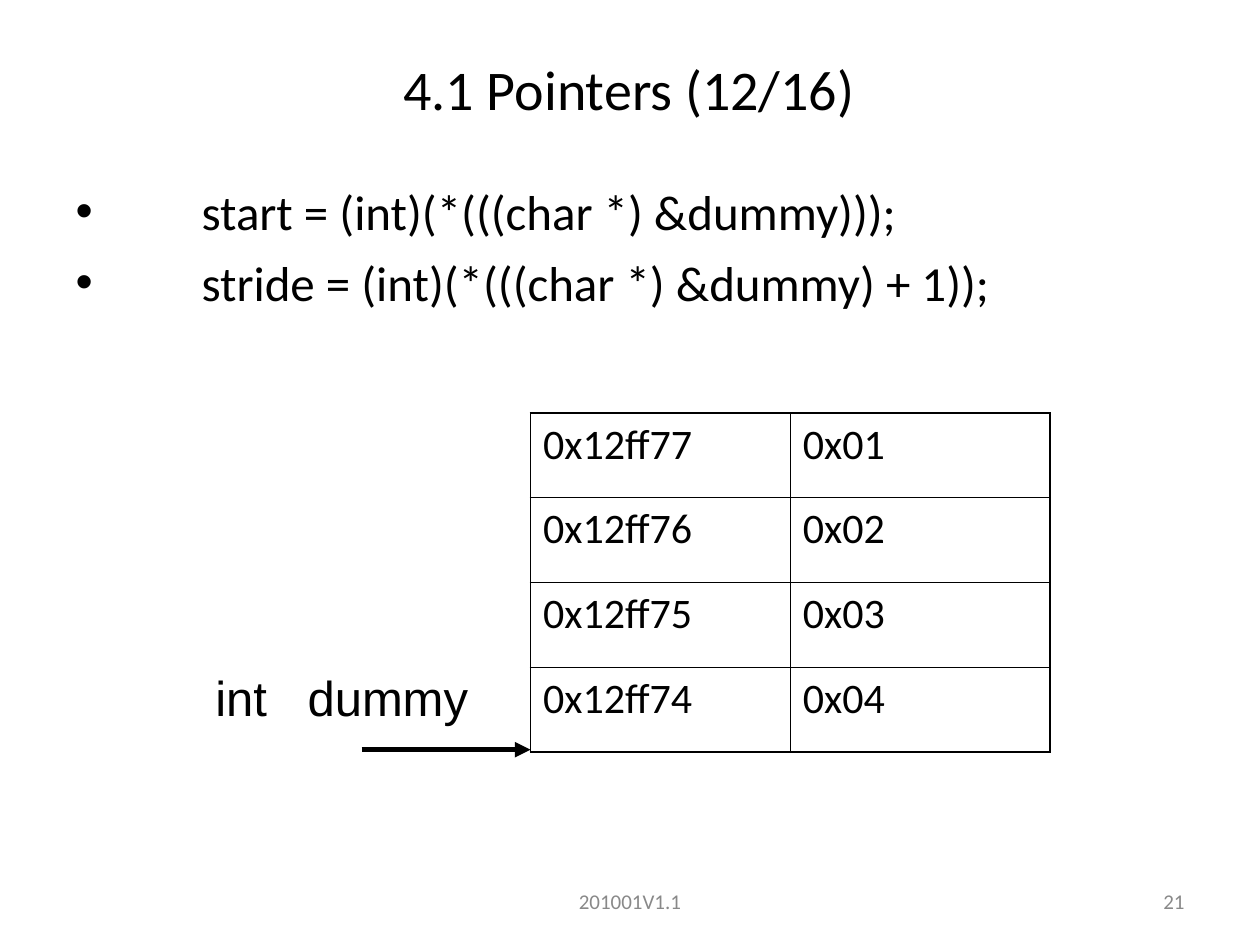
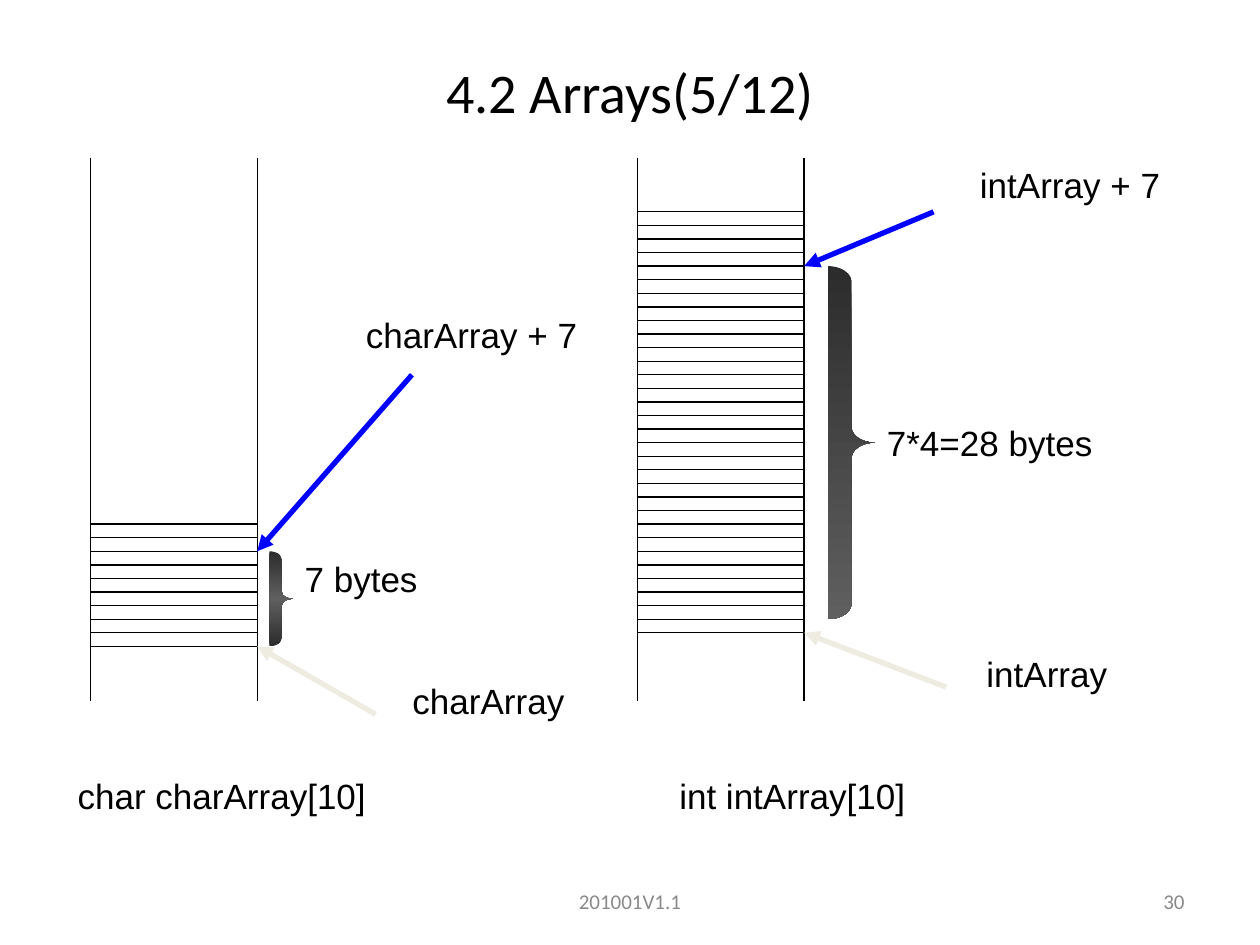
from lxml import etree
from pptx import Presentation
from pptx.dml.color import RGBColor
from pptx.enum import shapes, text
from pptx.oxml import ns, parse_xml
from pptx.util import Pt

BLACK, GREY, BLUE, SAND = "000000", "898989", "0000FF", "EEECE1"
LEFT, MID, RIGHT = text.PP_ALIGN.LEFT, text.PP_ALIGN.CENTER, text.PP_ALIGN.RIGHT
TITLE = {"name": "Calibri", "size": Pt(32)}
LIST = {"name": "Calibri", "size": Pt(28)}
CELL = {"name": "Calibri", "size": Pt(24)}
FOOT = {"name": "Calibri", "size": Pt(12)}
LABEL = {"name": "Arial", "size": Pt(20)}
BIG = {"name": "Arial", "size": Pt(28)}


def write(frame, lines, fmt, align=LEFT, color=BLACK, tab=0):
    """Fill a text frame, one paragraph a line, with an optional tab stop."""
    frame.word_wrap = True
    for i, line in enumerate(lines):
        par = frame.add_paragraph() if i else frame.paragraphs[0]
        par.alignment = align
        par.space_before = Pt(7 if i else 0)
        if tab:
            stops = etree.SubElement(par._p.get_or_add_pPr(), ns.qn("a:tabLst"))
            etree.SubElement(stops, ns.qn("a:tab"), pos=str(Pt(tab)), algn="l")
        run = par.add_run()
        run.text = line
        for key, value in fmt.items():
            setattr(run.font, key, value)
        run.font.color.rgb = RGBColor.from_string(color)


def draw(slide, x1, y1, x2, y2, color=BLACK, width=0.75, arrow=False):
    """Draw a straight line, with an arrowhead at its end if asked."""
    line = slide.shapes.add_connector(
        shapes.MSO_CONNECTOR.STRAIGHT, Pt(x1), Pt(y1), Pt(x2), Pt(y2))
    line.line.color.rgb = RGBColor.from_string(color)
    line.line.width = Pt(width)
    if arrow:
        etree.SubElement(line.line._get_or_add_ln(), ns.qn("a:tailEnd"), type="triangle")
    etree.SubElement(line._element.spPr, ns.qn("a:effectLst"))


deck = Presentation()
deck.slide_width, deck.slide_height = Pt(720), Pt(540)

# Titles and footers of both slides
pages = []
for layout, head, box, num in (
        (1, "4.1 Pointers (12/16)", (19.5, 20, 680, 61), "21"),
        (5, "4.2 Arrays(5/12)", (0, 21.5, 720, 61), "30")):
    page = deck.slides.add_slide(deck.slide_layouts[layout])
    title = page.shapes.title
    title.left, title.top, title.width, title.height = map(Pt, box)
    write(title.text_frame, [head], TITLE, MID)
    for left, width, words, align in ((246, 228, "201001V1.1", MID), (516, 168, num, RIGHT)):
        foot = page.shapes.add_textbox(Pt(left), Pt(500.5), Pt(width), Pt(28.8)).text_frame
        foot.vertical_anchor = text.MSO_ANCHOR.MIDDLE
        write(foot, [words], FOOT, align, GREY)
    pages.append(page)
point, array = pages

# Pointers: code list
body = point.placeholders[1]
body.left, body.top, body.width, body.height = map(Pt, (36, 100, 648, 382))
write(body.text_frame, ["\tstart = (int)(*(((char *) &dummy)));",
                        "\tstride = (int)(*(((char *) &dummy) + 1));"], LIST, tab=72)

# Pointers: memory table, with a heavier outer frame
cells = (("0x12ff77", "0x01"), ("0x12ff76", "0x02"),
         ("0x12ff75", "0x03"), ("0x12ff74", "0x04"))
table = point.shapes.add_table(4, 2, Pt(303.2), Pt(236), Pt(296.8), Pt(193.6)).table
table.first_row = table.horz_banding = False
for r, values in enumerate(cells):
    for c, value in enumerate(values):
        cell = table.cell(r, c)
        write(cell.text_frame, [value], CELL)
        props = cell._tc.get_or_add_tcPr()
        for side, outer in (("L", c == 0), ("R", c == 1), ("T", r == 0), ("B", r == 3)):
            edge = etree.SubElement(props, ns.qn("a:ln" + side),
                                    w=str(Pt(1.08 if outer else 0.45)))
            fill = etree.SubElement(edge, ns.qn("a:solidFill"))
            etree.SubElement(fill, ns.qn("a:srgbClr"), val=BLACK)
        cell.fill.background()

# Pointers: variable and its arrow
draw(point, 206.6, 428.4, 303.2, 428.4, BLACK, 3, True)
name = point.shapes.add_textbox(Pt(116), Pt(378), Pt(164), Pt(41))
write(name.text_frame, ["int\tdummy"], BIG, tab=52.7)

# Arrays: all heights fall on the byte rows
rows = [90 + 7.76 * n for n in range(46)]
for x1, x2, first, last in ((51.8, 147, 27, 36), (364.3, 459.5, 4, 35)):
    for x in (x1, x2):
        draw(array, x, rows[0], x, rows[40])
    for y in rows[first:last + 1]:
        draw(array, x1, y, x2, y)

# Arrays: labels
for words, left, row, width, align in (
        ("char charArray[10]", 18, 45, 217.5, MID),
        ("int intArray[10]", 344, 45, 217.5, MID),
        ("charArray", 214.6, 38, 129, MID),
        ("charArray + 7", 188, 11, 163, MID),
        ("7 bytes", 167, 29, 115, LEFT),
        ("7*4=28 bytes", 499.7, 19, 176, LEFT),
        ("intArray + 7", 533.5, 0, 156, MID),
        ("intArray", 540.7, 36, 115, MID)):
    label = array.shapes.add_textbox(Pt(left), Pt(rows[row]), Pt(width), Pt(31.5))
    write(label.text_frame, [words], LABEL, align)

# Arrays: pointer arrows
for x1, start, x2, end, color in (
        (214.6, 41, 147, 36, SAND), (235.4, 16, 147, 29, BLUE),
        (533.5, 4, 459.5, 8, BLUE), (540.7, 39, 459.5, 35, SAND)):
    draw(array, x1, rows[start], x2, rows[end], color, 3, True)

# Arrays: braces with a vertical gradient
for left, first, last, width, shades in (
        (473, 8, 34, 27.2, ("2C2C2C", "5F5F5F")),
        (154, 29, 36, 13.6, ("2C2C2C", "5F5F5F", "2C2C2C"))):
    brace = array.shapes.add_shape(
        shapes.MSO_SHAPE.RIGHT_BRACE, Pt(left), Pt(rows[first]),
        Pt(width), Pt(rows[last] - rows[first]))
    brace.adjustments[0] = 0.32
    brace.shadow.inherit = False
    brace.line.fill.background()
    stops = "".join(
        f'<a:gs pos="{100000 * i // (len(shades) - 1)}"><a:srgbClr val="{shade}"/></a:gs>'
        for i, shade in enumerate(shades))
    brace._element.spPr.find(ns.qn("a:prstGeom")).addnext(parse_xml(
        f'<a:gradFill {ns.nsdecls("a")} rotWithShape="1"><a:gsLst>{stops}</a:gsLst>'
        '<a:lin ang="5400000" scaled="0"/></a:gradFill>'))

deck.save("out.pptx")
